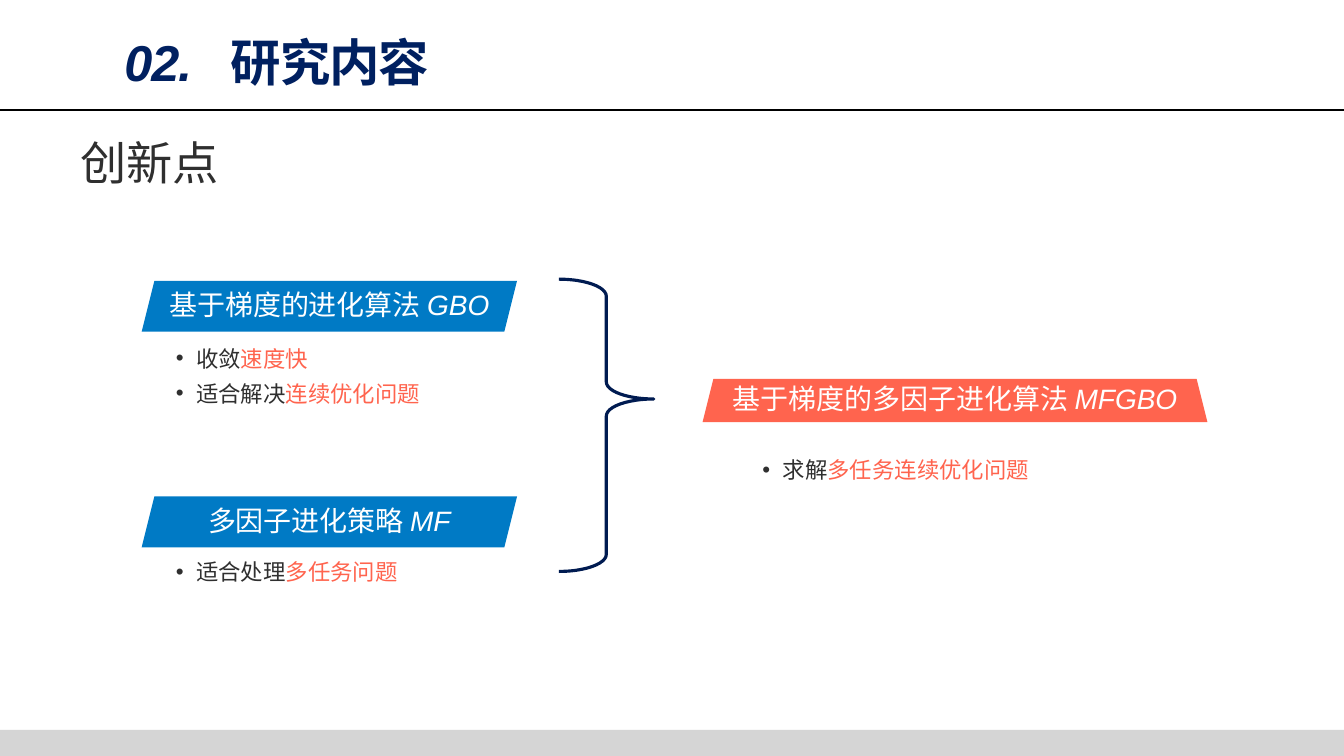
from dataclasses import dataclass

from lxml import etree
from pptx import Presentation
from pptx import util as u
from pptx.dml.color import RGBColor
from pptx.enum import shapes, text
from pptx.oxml import ns

Cm, Pt = u.Cm, u.Pt


@dataclass(frozen=True)
class Theme:
    navy: str = "002060"
    brace: str = "001B51"
    blue: str = "007AC5"
    coral: str = "FF644E"
    ink: str = "2F2F2F"
    white: str = "FFFFFF"
    black: str = "000000"
    footer: str = "D5D5D5"
    title: int = 72
    heading: int = 66
    banner: int = 40
    body: int = 32


theme = Theme()


def add_text(parent, box, paragraphs, size, font="Calibri", align=None, spacing=None, bullet=False):
    """Each paragraph is a list of (text, colour, extra font settings)."""
    frame = parent.add_textbox(*map(Cm, box)).text_frame
    frame.word_wrap = True
    frame.auto_size = text.MSO_AUTO_SIZE.SHAPE_TO_FIT_TEXT
    frame.vertical_anchor = text.MSO_ANCHOR.MIDDLE
    frame.margin_left = frame.margin_right = frame.margin_top = frame.margin_bottom = Cm(0.15)
    for i, runs in enumerate(paragraphs):
        paragraph = frame.paragraphs[0] if i == 0 else frame.add_paragraph()
        paragraph.alignment = align
        paragraph.line_spacing = spacing
        if bullet:
            props = paragraph._p.get_or_add_pPr()
            props.set("marL", str(Cm(1.02)))
            props.set("indent", str(Cm(-1.19)))
            etree.SubElement(props, ns.qn("a:buFont")).set("typeface", "Arial")
            etree.SubElement(props, ns.qn("a:buChar")).set("char", "•")
        for words, colour, extra in runs:
            run = paragraph.add_run()
            run.text = words
            run.font.size = Pt(size)
            run.font.name = font
            run.font.color.rgb = RGBColor.from_string(colour)
            for key, value in extra.items():
                setattr(run.font, key, value)
    return frame


def add_filled(parent, kind, box, colour):
    shape = parent.add_shape(kind, *map(Cm, box))
    shape.shadow.inherit = False
    shape.fill.solid()
    shape.fill.fore_color.rgb = RGBColor.from_string(colour)
    shape.line.fill.background()


deck = Presentation()
deck.slide_width, deck.slide_height = Cm(67.74), Cm(38.1)
slide = deck.slides.add_slide(deck.slide_layouts[6])
canvas = slide.shapes

# Header rule and footer band
rule = canvas.add_connector(shapes.MSO_CONNECTOR.STRAIGHT, 0, Cm(5.56), deck.slide_width, Cm(5.56))
rule.line.color.rgb = RGBColor.from_string(theme.black)
rule.line.width = Pt(3)
etree.SubElement(rule._element.spPr, ns.qn("a:effectLst"))
add_filled(canvas, shapes.MSO_SHAPE.RECTANGLE, (0, 36.78, 67.74, 1.32), theme.footer)

# Section title, its number set apart by a tab stop
title = add_text(canvas, (6.12, 0.13, 15.72, 4.39), [[]], theme.title, spacing=1.5).paragraphs[0]
tabs = etree.SubElement(title._p.get_or_add_pPr(), ns.qn("a:tabLst"))
etree.SubElement(tabs, ns.qn("a:tab"), pos=str(Cm(5.36)), algn="l")
for words, slanted in (("02.", True), ("\t研究内容", False)):
    run = title.add_run()
    run.text = words
    run.font.size = Pt(theme.title)
    run.font.name = "Arial"
    run.font.bold = True
    run.font.italic = slanted
    run.font.color.rgb = RGBColor.from_string(theme.navy)
    run._r.get_or_add_rPr().set("spc", "-160")

# Heading
add_text(canvas, (3.89, 6.6, 22.15, 3.1), [[("创新点", theme.ink, {})]], theme.heading, "Roboto")

# Banners: shape, shape box, label box, colour, method, abbreviation
slanted_bar, tapered_bar = shapes.MSO_SHAPE.PARALLELOGRAM, shapes.MSO_SHAPE.TRAPEZOID
banners = [
    (slanted_bar, (7.14, 14.15, 18.92, 2.57), (7.49, 14.07, 18.21, 2.51), theme.blue,
     "基于梯度的进化算法 ", "GBO"),
    (slanted_bar, (7.14, 25.02, 18.92, 2.57), (7.49, 25.22, 18.21, 2.01), theme.blue,
     "多因子进化策略 ", "MF"),
    (tapered_bar, (35.41, 19.1, 25.45, 2.18), (35.89, 18.75, 24.49, 2.62), theme.coral,
     "基于梯度的多因子进化算法 ", "MFGBO"),
]
for kind, bar_box, label_box, colour, method, abbreviation in banners:
    banner = canvas.add_group_shape().shapes
    add_filled(banner, kind, bar_box, colour)
    label = [(method, theme.white, {}), (abbreviation, theme.white, {"name": "Arial", "italic": True})]
    add_text(banner, label_box, [label], theme.banner, align=text.PP_ALIGN.CENTER)

# Strengths: plain words followed by highlighted words
strengths = [
    ((8.71, 16.81, 20.73, 3.84), [("收敛", "速度快"), ("适合解决", "连续优化问题")]),
    ((8.71, 27.58, 20.73, 2.06), [("适合处理", "多任务问题")]),
    ((38.28, 22.45, 20.73, 2.06), [("求解", "多任务连续优化问题")]),
]
for box, points in strengths:
    lines = [[(plain, theme.ink, {}), (key, theme.coral, {})] for plain, key in points]
    add_text(canvas, box, lines, theme.body, spacing=1.3, bullet=True)

# Brace joining both methods to the result
brace = canvas.add_shape(shapes.MSO_SHAPE.RIGHT_BRACE, Cm(28.17), Cm(14.07), Cm(4.78), Cm(14.73))
brace.shadow.inherit = False
brace.adjustments[0], brace.adjustments[1] = 0.18, 0.41
brace.fill.background()
brace.line.color.rgb = RGBColor.from_string(theme.brace)
brace.line.width = Pt(4.5)

deck.save("out.pptx")
